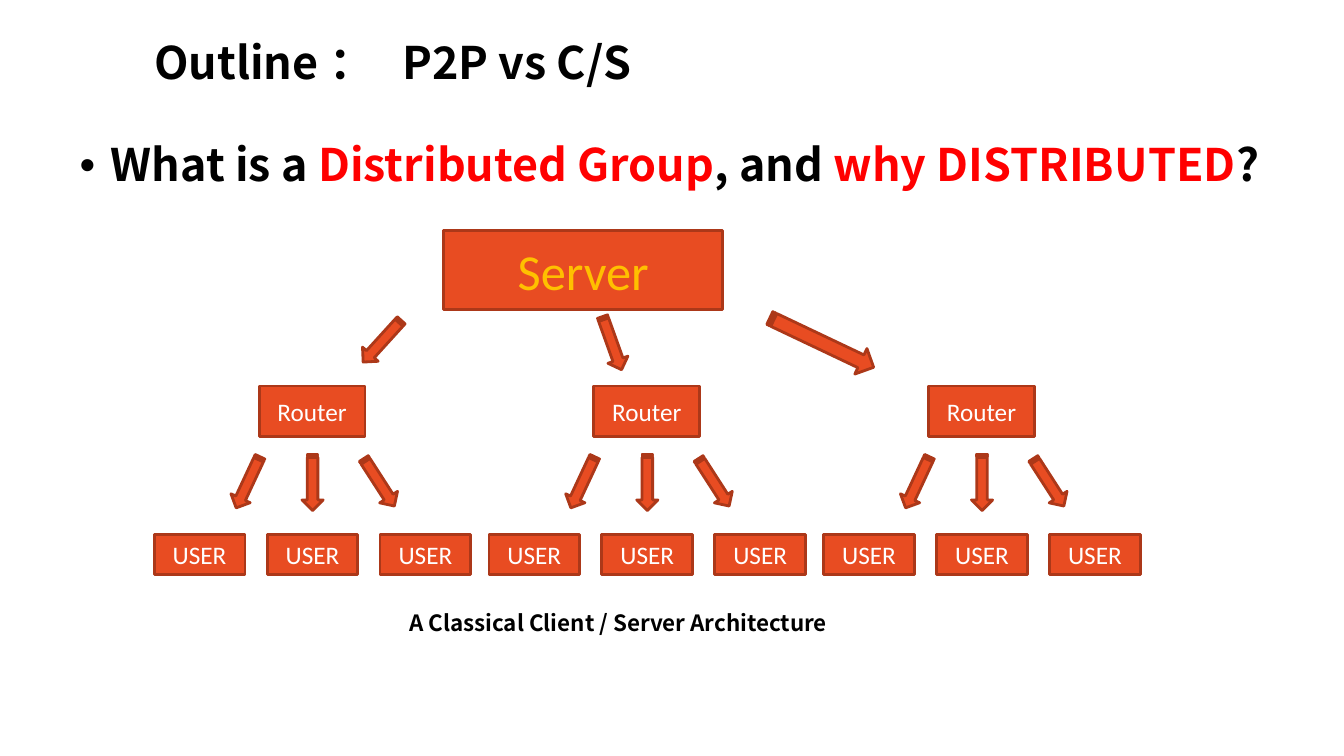
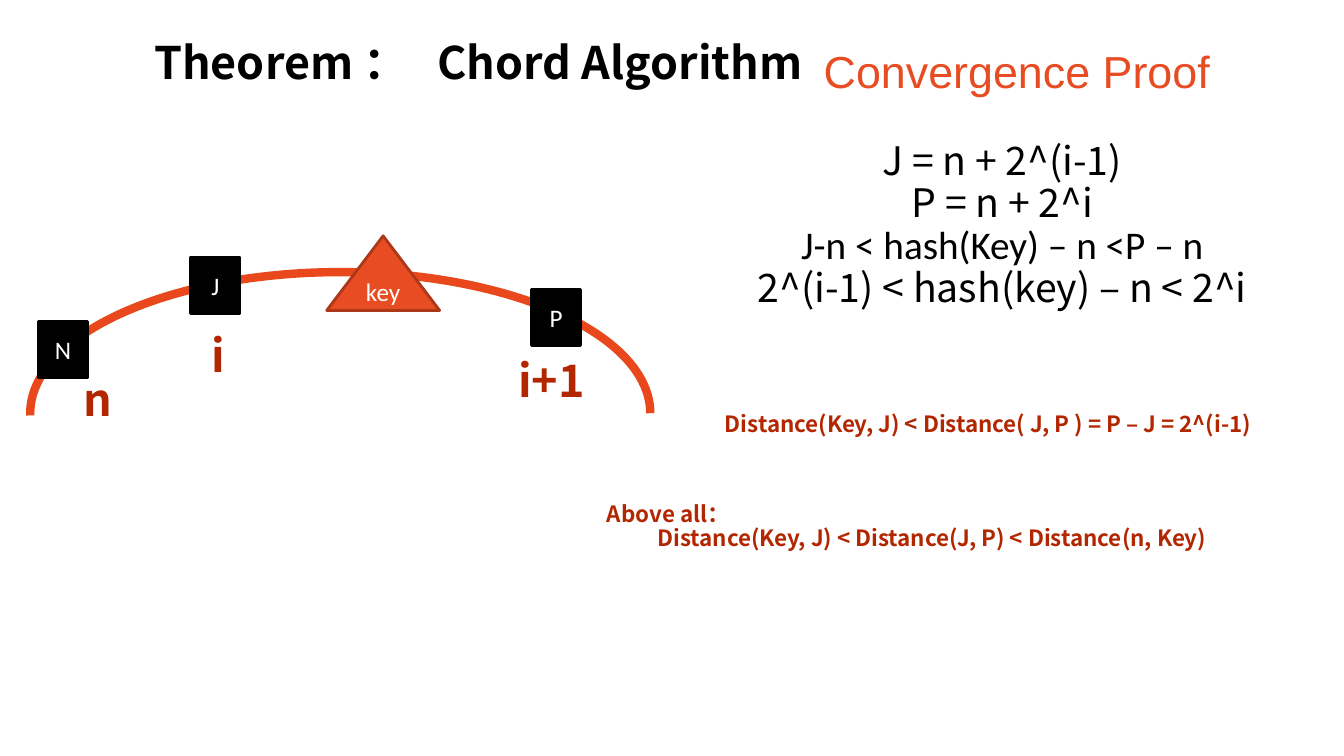
"""Build two slides on client/server architecture and the Chord convergence proof."""
from lxml import etree
from pptx import Presentation, util as u
from pptx.dml.color import RGBColor
from pptx.enum import shapes, text
from pptx.oxml.ns import qn

COLORS = {"black": "000000", "white": "FFFFFF", "mist": "FDFDFD", "red": "FF0000",
          "orange": "E84C22", "arc": "E8481C", "rust": "AC3819", "gold": "FFC000",
          "brick": "B22600"}
SANS = "Noto Sans CJK SC"
FRAME = {"margin_left": 0, "margin_right": 0, "margin_top": 0, "margin_bottom": 0,
         "word_wrap": True, "auto_size": text.MSO_AUTO_SIZE.NONE,
         "vertical_anchor": text.MSO_ANCHOR.TOP}
TITLE = {"size": u.Pt(32), "bold": True, "name": SANS}
NOTE = {"size": u.Pt(16), "bold": True, "name": SANS}
EQUATION = {"size": u.Pt(28), "bold": False, "name": SANS}


def write(shape, box, lines, font, align=text.PP_ALIGN.LEFT):
    """Place a text shape and fill it with lines of (text, colour, font changes) runs."""
    shape.left, shape.top, shape.width, shape.height = map(u.Inches, box)
    frame = shape.text_frame
    for name, value in FRAME.items():
        setattr(frame, name, value)
    for index, runs in enumerate(lines):
        paragraph = frame.add_paragraph() if index else frame.paragraphs[0]
        for name, value in {"alignment": align, "line_spacing": 0.9, "space_before": u.Pt(0)}.items():
            setattr(paragraph, name, value)
        for words, color, *changes in runs:
            run = paragraph.add_run()
            run.text = words
            for name, value in {**font, **(changes[0] if changes else {})}.items():
                setattr(run.font, name, value)
            run.font.color.rgb = RGBColor.from_string(COLORS[color])
            east_asian = etree.SubElement(run.font._element, qn("a:ea"))
            east_asian.set("typeface", run.font.name)


def draw(slide, kind, box, label="", size=18, color="white", fill="orange", line="rust", rotation=0):
    """Draw an outlined preset shape with a centred label."""
    shape = slide.shapes.add_shape(kind, *map(u.Inches, box))
    shape.shadow.inherit = False
    shape.rotation = rotation
    shape.fill.solid()
    shape.fill.fore_color.rgb = RGBColor.from_string(COLORS[fill])
    shape.line.color.rgb = RGBColor.from_string(COLORS[line])
    shape.line.width = u.Pt(2)
    if label:
        shape.text_frame.vertical_anchor = text.MSO_ANCHOR.MIDDLE
        paragraph = shape.text_frame.paragraphs[0]
        paragraph.alignment = text.PP_ALIGN.CENTER
        run = paragraph.add_run()
        run.text = label
        for name, value in {"name": "Calibri", "size": u.Pt(size)}.items():
            setattr(run.font, name, value)
        run.font.color.rgb = RGBColor.from_string(COLORS[color])
    return shape


presentation = Presentation()
presentation.slide_width, presentation.slide_height = u.Inches(13.33), u.Inches(7.5)
background = presentation.slide_master.background.fill
background.gradient()
background.gradient_angle = 270
for stop, color, position in zip(background.gradient_stops, ("white", "mist"), (0, 0.71)):
    stop.color.rgb = RGBColor.from_string(COLORS[color])
    stop.position = position

slides = []
for heading, tab in (("Outline ：\tP2P vs C/S", 2.46), ("Theorem ：\tChord Algorithm", 2.81)):
    slide = presentation.slides.add_slide(presentation.slide_layouts[1])
    write(slide.shapes.title, (1.53, 0.4, 6.64, 0.54), [[(heading, "black")]], TITLE)
    properties = slide.shapes.title.text_frame.paragraphs[0]._p.get_or_add_pPr()
    tabs = etree.SubElement(properties, qn("a:tabLst"))
    etree.SubElement(tabs, qn("a:tab"), pos=str(u.Inches(tab)), algn="l")
    slides.append(slide)
architecture, proof = slides

RECTANGLE = shapes.MSO_SHAPE.RECTANGLE
ARROW = shapes.MSO_SHAPE.STRIPED_RIGHT_ARROW

question = architecture.placeholders[1]
write(question, (0.29, 1.42, 12.75, 0.71),
      [[("What is a ", "black"), ("Distributed Group", "red"), (", and ", "black"),
        ("why DISTRIBUTED", "red"), ("?", "black")]], TITLE)
properties = question.text_frame.paragraphs[0]._p.get_or_add_pPr()
properties.set("marL", str(u.Inches(0.81)))
properties.set("indent", str(u.Inches(-0.31)))

draw(architecture, RECTANGLE, (4.4, 2.29, 2.77, 0.78), "Server", 36, "gold")
for box, angle in (((3.51, 3.28, 0.56, 0.21), 132.3), ((5.79, 3.3, 0.56, 0.21), 70.3),
                   ((7.58, 3.26, 1.14, 0.28), 25.4)):
    draw(architecture, ARROW, box, rotation=angle)
for branch in range(3):
    offset = 3.32 * branch
    draw(architecture, RECTANGLE, (2.57 + offset, 3.83, 1.05, 0.5), "Router")
    for user, (left, angle) in enumerate(((2.18, 115), (2.82, 90), (3.48, 57.2))):
        draw(architecture, ARROW, (left + offset, 4.68, 0.56, 0.21), rotation=angle)
        draw(architecture, RECTANGLE, (1.53 + offset + 1.12 * user, 5.3, 0.9, 0.4), "USER")

arc = draw(proof, shapes.MSO_SHAPE.ARC, (0.3, 2.7, 6.15, 2.8), line="arc")
arc.fill.background()
arc.line.width = u.Pt(6)
arc.adjustments[0], arc.adjustments[1] = 107.75, 0
for label, left, top in (("N", 0.38, 3.19), ("J", 1.89, 2.55), ("P", 5.27, 2.87)):
    draw(proof, RECTANGLE, (left, top, 0.49, 0.56), label, fill="black", line="black")
draw(proof, shapes.MSO_SHAPE.ISOSCELES_TRIANGLE, (3.24, 2.34, 1.12, 0.74), "key")

equations = proof.placeholders[1]
write(equations, (6.67, 1.4, 6.54, 2.4),
      [[("J = n + 2^(i-1)", "black")], [("P = n + 2^i", "black")],
       [("J-n < hash(Key) – n <P – n", "black", {"name": "Calibri"})],
       [("2^(i-1) < hash(key) – n < 2^i", "black")]], EQUATION, text.PP_ALIGN.CENTER)
for paragraph in equations.text_frame.paragraphs:
    properties = paragraph._p.get_or_add_pPr()
    properties.set("marL", "0")
    properties.set("indent", "0")
    etree.SubElement(properties, qn("a:buNone"))

for slide, box, lines, font in (
        (architecture, (4.06, 6.07, 4.6, 0.27),
         [[("A Classical Client / Server Architecture", "black")]], NOTE),
        (proof, (8.17, 0.49, 4.6, 0.54), [[("Convergence Proof", "orange")]],
         {"size": u.Pt(32), "name": "Arial"}),
        (proof, (2.1, 3.31, 0.4, 0.54), [[("i", "brick")]], TITLE),
        (proof, (5.14, 3.56, 0.95, 0.54), [[("i+1", "brick")]], TITLE),
        (proof, (0.83, 3.75, 0.5, 0.54), [[("n", "brick")]], TITLE),
        (proof, (7.19, 4.1, 5.84, 0.27),
         [[("Distance(Key, J) < Distance( J, P ) = P – J = 2^(i-1)", "brick")]], NOTE),
        (proof, (6.02, 4.99, 6.95, 0.54),
         [[("Above all：", "brick")],
          [("\tDistance(Key, J) < Distance(J, P) < Distance(n, Key)", "brick")]], NOTE)):
    write(slide.shapes.add_textbox(0, 0, 0, 0), box, lines, font)

presentation.save("out.pptx")
